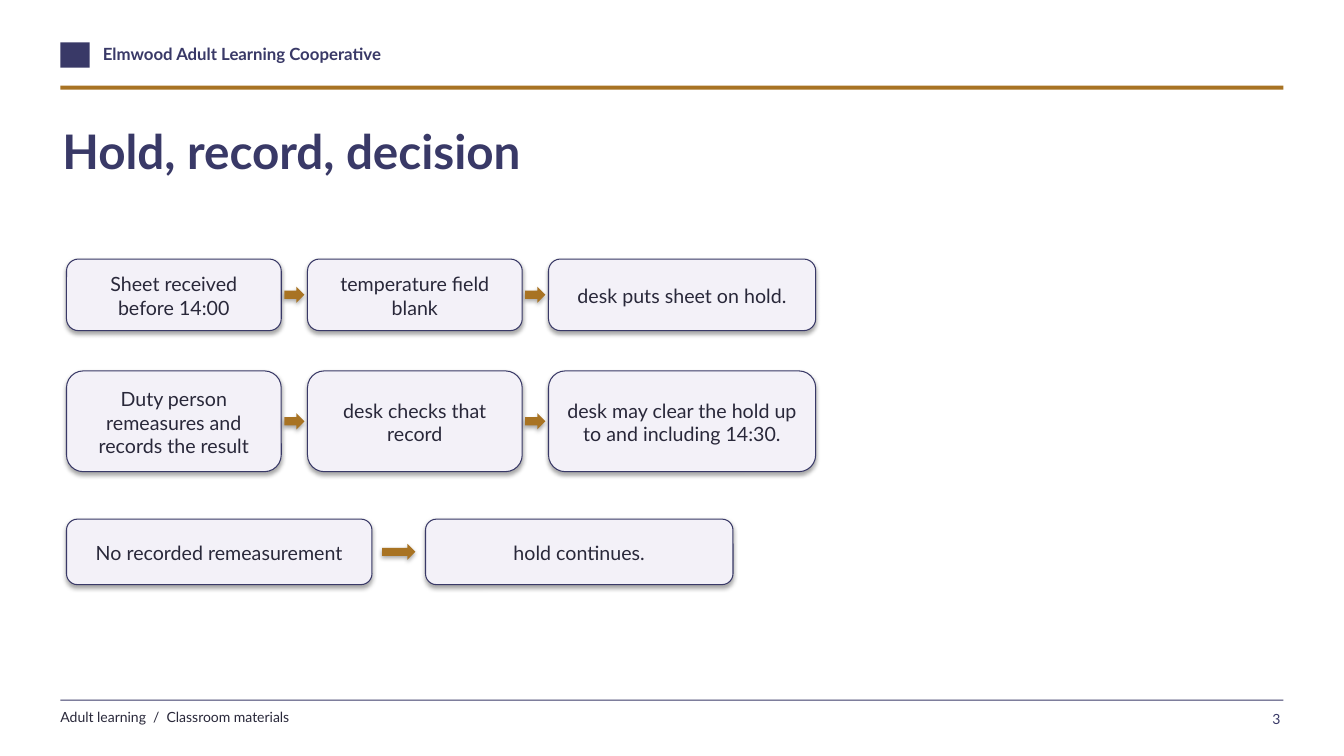
from pptx import Presentation
from pptx.dml.color import RGBColor
from pptx.enum.shapes import MSO_SHAPE as Preset
from pptx.enum.text import MSO_ANCHOR as Anchor, MSO_AUTO_SIZE as AutoSize, PP_ALIGN as Align
from pptx.util import Inches, Pt

NAVY, OCHRE, INK, PALE = "393967", "A87323", "29283A", "F3F1F8"
FONT = "Lato"
MARGINS = (0.1, 0.06, 0.1, 0.04)
ARROW_HEIGHT = 0.16
FLOW_LEFT = 0.66


def color(value):
    return RGBColor.from_string(value)


def write_text(frame, text, size=14, ink=INK, bold=False, align=Align.LEFT,
               anchor=Anchor.TOP, margins=(0, 0, 0, 0), wrap=True, grow=False):
    frame.word_wrap = wrap
    frame.auto_size = AutoSize.SHAPE_TO_FIT_TEXT if grow else AutoSize.NONE
    frame.vertical_anchor = anchor
    (frame.margin_left, frame.margin_top,
     frame.margin_right, frame.margin_bottom) = map(Inches, margins)
    paragraph = frame.paragraphs[0]
    paragraph.alignment = align
    run = paragraph.add_run()
    run.text = text
    run.font.name = FONT
    run.font.size = Pt(size)
    run.font.bold = bold
    run.font.color.rgb = color(ink)


class FlowSlide:
    def __init__(self, presentation):
        self.slide = presentation.slides.add_slide(presentation.slide_layouts[6])

    def shape(self, preset, left, top, width, height, fill, shadow=False):
        shape = self.slide.shapes.add_shape(
            preset, Inches(left), Inches(top), Inches(width), Inches(height))
        shape.fill.solid()
        shape.fill.fore_color.rgb = color(fill)
        shape.line.fill.background()
        if not shadow:
            shape.shadow.inherit = False
        return shape

    def bar(self, left, top, width, height, fill):
        self.shape(Preset.RECTANGLE, left, top, width, height, fill)

    def text(self, left, top, width, height, text, **style):
        box = self.slide.shapes.add_textbox(
            Inches(left), Inches(top), Inches(width), Inches(height))
        write_text(box.text_frame, text, **style)

    def step(self, left, top, width, height, text):
        box = self.shape(Preset.ROUNDED_RECTANGLE, left, top, width, height, PALE, shadow=True)
        box.line.color.rgb = color(NAVY)
        box.line.width = Pt(0.75)
        write_text(box.text_frame, text, align=Align.CENTER, anchor=Anchor.MIDDLE,
                   margins=MARGINS)

    def flow(self, top, height, gap, inset, steps):
        left = FLOW_LEFT
        for index, (width, text) in enumerate(steps):
            if index:
                self.shape(Preset.RIGHT_ARROW, left - gap + inset,
                           top + (height - ARROW_HEIGHT) / 2,
                           gap - 2 * inset, ARROW_HEIGHT, OCHRE, shadow=True)
            self.step(left, top, width, height, text)
            left += width + gap


def main():
    presentation = Presentation()
    presentation.slide_width = Inches(13.33)
    presentation.slide_height = Inches(7.5)
    page = FlowSlide(presentation)

    page.bar(0.6, 0.42, 0.29, 0.25, NAVY)
    page.text(1.02, 0.43, 6, 0.28, "Elmwood Adult Learning Cooperative",
              size=12, ink=NAVY, bold=True, grow=True)
    page.bar(0.6, 0.85, 12.13, 0.04, OCHRE)
    page.bar(0.6, 6.94, 12.13, 0.01, NAVY)
    page.text(0.6, 7.03, 7, 0.23, "Adult learning  /  Classroom materials", size=10, grow=True)
    page.text(0.62, 1.15, 12, 1.05, "Hold, record, decision",
              size=34, ink=NAVY, bold=True, margins=(0, 0.06, 0, 0.04))

    page.flow(2.57, 0.71, 0.26, 0.03, [
        (2.13, "Sheet received before 14:00"),
        (2.13, "temperature field blank"),
        (2.65, "desk puts sheet on hold."),
    ])
    page.flow(3.68, 1, 0.26, 0.03, [
        (2.13, "Duty person remeasures and records the result"),
        (2.13, "desk checks that record"),
        (2.65, "desk may clear the hold up to and including 14:30."),
    ])
    page.flow(5.15, 0.65, 0.53, 0.1, [
        (3.03, "No recorded remeasurement"),
        (3.05, "hold continues."),
    ])

    page.text(12.28, 7.05, 0.42, 0.22, "3", size=10, ink=NAVY,
              align=Align.RIGHT, wrap=False, grow=True)
    presentation.save("out.pptx")


if __name__ == "__main__":
    main()
